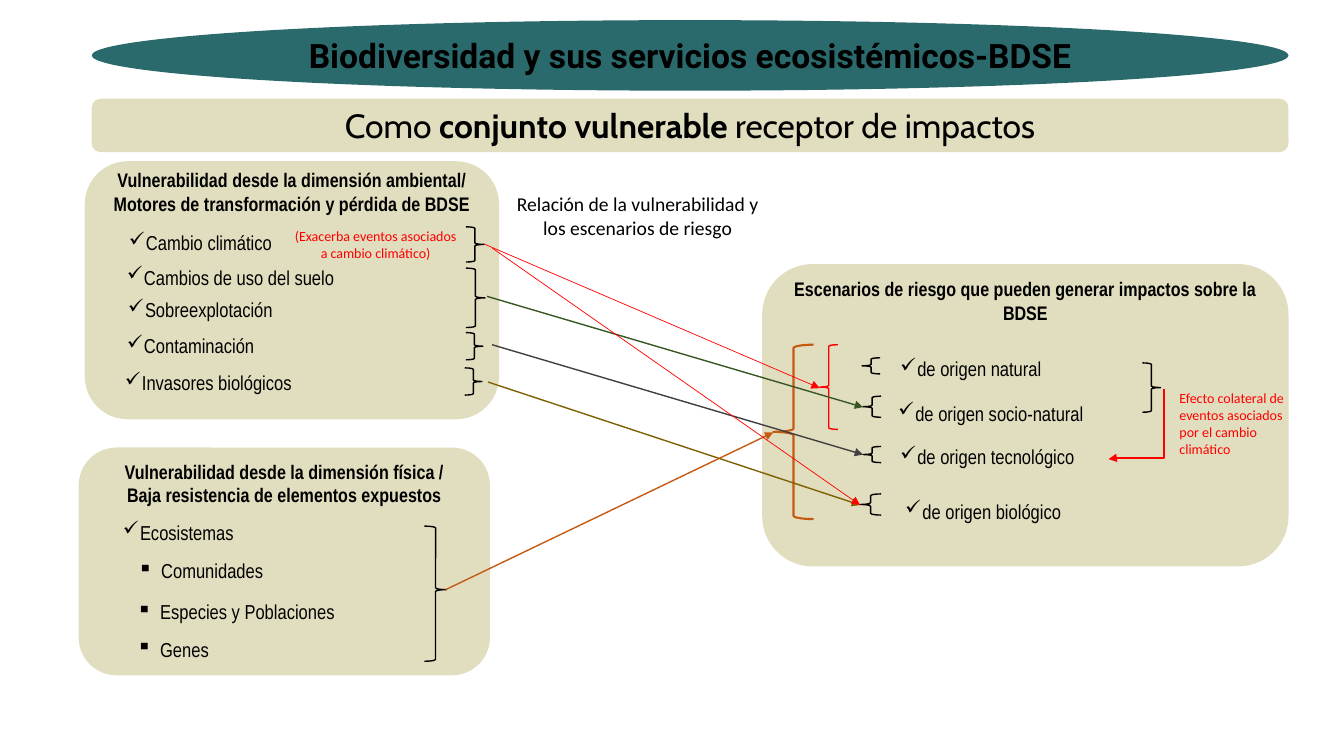
from lxml.etree import SubElement
from pptx import Presentation
from pptx.dml.color import RGBColor
from pptx.enum.shapes import MSO_CONNECTOR, MSO_SHAPE
from pptx.enum.text import MSO_ANCHOR, MSO_AUTO_SIZE, PP_ALIGN
from pptx.oxml.ns import qn
from pptx.util import Inches, Pt

BLACK = RGBColor(0x00, 0x00, 0x00)
RED = RGBColor(0xFF, 0x00, 0x00)
SAND = RGBColor(0xE1, 0xDD, 0xBF)
TEAL = RGBColor(0x2B, 0x6A, 0x6C)
ORANGE = RGBColor(0xC5, 0x5A, 0x11)
OLIVE = RGBColor(0x80, 0x60, 0x00)
GRAY = RGBColor(0x40, 0x40, 0x40)
GREEN = RGBColor(0x38, 0x57, 0x23)


def write_text(frame, lines, size=14, font="Arial Narrow", color=BLACK,
               bold=False, align=PP_ALIGN.LEFT, bullet=None, indent=0):
    """Each line is a string or a list of (text, bold) runs."""
    frame.word_wrap = True
    for number, line in enumerate(lines):
        paragraph = frame.paragraphs[0] if number == 0 else frame.add_paragraph()
        paragraph.alignment = align
        if bullet:
            properties = paragraph._p.get_or_add_pPr()
            properties.set("marL", str(Inches(indent)))
            properties.set("indent", str(-Inches(indent)))
            SubElement(properties, qn("a:buChar"), char=bullet)
        runs = [(line, bold)] if isinstance(line, str) else line
        for words, is_bold in runs:
            run = paragraph.add_run()
            run.text = words
            run.font.size = Pt(size)
            run.font.name = font
            run.font.bold = is_bold
            run.font.color.rgb = color


class RiskSlide:
    def __init__(self, slide):
        self.shapes = slide.shapes

    def panel(self, kind, left, top, width, height, fill=SAND):
        panel = self.shapes.add_shape(kind, Inches(left), Inches(top),
                                      Inches(width), Inches(height))
        panel.shadow.inherit = False
        panel.fill.solid()
        panel.fill.fore_color.rgb = fill
        panel.line.fill.background()
        return panel

    def banner(self, kind, top, height, line, fill=SAND, **style):
        banner = self.panel(kind, 0.91, top, 11.87, height, fill)
        banner.text_frame.vertical_anchor = MSO_ANCHOR.MIDDLE
        write_text(banner.text_frame, [line], size=24, align=PP_ALIGN.CENTER, **style)

    def text(self, left, top, width, height, *lines, **style):
        box = self.shapes.add_textbox(Inches(left), Inches(top),
                                      Inches(width), Inches(height))
        write_text(box.text_frame, lines, **style)
        box.text_frame.auto_size = MSO_AUTO_SIZE.SHAPE_TO_FIT_TEXT

    def item(self, left, top, width, line, bullet="✓", indent=0.17):
        self.text(left, top, width, 0.34, line, size=14.4, bullet=bullet, indent=indent)

    def brace(self, kind, left, top, width, height, color=BLACK, weight=1, adjust=()):
        brace = self.shapes.add_shape(kind, Inches(left), Inches(top),
                                      Inches(width), Inches(height))
        brace.shadow.inherit = False
        brace.fill.background()
        brace.line.color.rgb = color
        brace.line.width = Pt(weight)
        for index, value in enumerate(adjust):
            brace.adjustments[index] = value

    def arrow(self, start, end, color, weight=1, kind=MSO_CONNECTOR.STRAIGHT):
        arrow = self.shapes.add_connector(kind, *map(Inches, start + end))
        arrow.line.color.rgb = color
        arrow.line.width = Pt(weight)
        properties = arrow.element.spPr
        SubElement(properties.find(qn("a:ln")), qn("a:tailEnd"), type="triangle")
        SubElement(properties, qn("a:effectLst"))
        return properties

    def turned_arrow(self, start, end, color, bend):
        """Elbow arrow turned a quarter, so it runs down and then left."""
        properties = self.arrow(start, end, color, kind=MSO_CONNECTOR.ELBOW)
        properties.find(qn("a:xfrm")).set("rot", str(90 * 60000))
        guides = properties.find(qn("a:prstGeom")).find(qn("a:avLst"))
        SubElement(guides, qn("a:gd"), name="adj1", fmla=f"val {int(bend * 100000)}")


def main():
    deck = Presentation()
    deck.slide_width, deck.slide_height = Inches(13.33), Inches(7.5)
    risk = RiskSlide(deck.slides.add_slide(deck.slide_layouts[6]))
    rounded = MSO_SHAPE.ROUNDED_RECTANGLE
    opening, closing = MSO_SHAPE.LEFT_BRACE, MSO_SHAPE.RIGHT_BRACE
    heading = dict(bold=True, align=PP_ALIGN.CENTER)
    side_note = dict(size=10, font="Calibri", color=RED)

    # Environmental dimension
    risk.panel(rounded, 0.84, 1.6, 4.11, 2.56)
    risk.text(0.84, 1.62, 4.11, 0.57, "Vulnerabilidad desde la dimensión ambiental/",
              "Motores de transformación y pérdida de BDSE", **heading)
    for left, top, driver in [(1.18, 2.24, "Cambio climático"),
                              (1.16, 2.58, "Cambios de uso del suelo"),
                              (1.17, 2.9, "Sobreexplotación"),
                              (1.16, 3.26, "Contaminación"),
                              (1.14, 3.63, "Invasores biológicos")]:
        risk.item(left, top, 2.6, driver)
    risk.text(2.78, 2.21, 1.89, 0.44, "(Exacerba eventos asociados a cambio climático)",
              align=PP_ALIGN.CENTER, **side_note)

    # Physical dimension
    risk.panel(rounded, 0.78, 4.44, 4.08, 2.26)
    risk.text(0.78, 4.51, 4.08, 0.57, "Vulnerabilidad desde la dimensión física /",
              "Baja resistencia de elementos expuestos", **heading)
    risk.item(1.12, 5.11, 2.35, "Ecosistemas")
    for left, top, level in [(1.27, 5.49, "Comunidades"),
                             (1.26, 5.9, "Especies y Poblaciones"),
                             (1.26, 6.27, "Genes")]:
        risk.item(left, top, 2.72, level, bullet="▪", indent=0.23)

    # Risk scenarios
    risk.panel(rounded, 7.56, 2.62, 5.22, 3)
    risk.text(7.56, 2.7, 5.22, 0.59,
              "Escenarios de riesgo que pueden generar impactos sobre la BDSE", **heading)
    for left, top, origin in [(8.83, 3.49, "natural"), (8.81, 3.93, "socio-natural"),
                              (8.83, 4.36, "tecnológico"), (8.88, 4.9, "biológico")]:
        risk.item(left, top, 2.6, f"de origen {origin}")
    risk.text(11.6, 3.82, 1.24, 0.77,
              "Efecto colateral de eventos asociados por el cambio climático", **side_note)

    # Braces after the drivers and around the scenarios
    for place in [(4.62, 2.25, 0.18, 0.35), (4.62, 2.66, 0.19, 0.59),
                  (4.62, 3.3, 0.17, 0.27), (4.61, 3.65, 0.17, 0.27),
                  (11.33, 3.6, 0.18, 0.49)]:
        risk.brace(closing, *place)
    for place in [(8.55, 3.55, 0.18, 0.16), (8.56, 3.93, 0.18, 0.21),
                  (8.56, 4.43, 0.18, 0.16), (8.53, 4.9, 0.21, 0.21)]:
        risk.brace(opening, *place)
    risk.brace(closing, 4.21, 5.22, 0.22, 1.34, adjust=(0.08, 0.47))
    risk.brace(opening, 8.13, 3.42, 0.18, 0.84, RED)
    risk.brace(opening, 7.67, 3.42, 0.4, 1.73, ORANGE, 1.5)

    # Links from vulnerability to scenarios
    risk.text(5.02, 1.86, 2.61, 0.57,
              "Relación de la vulnerabilidad y los escenarios de riesgo",
              font="Calibri", align=PP_ALIGN.CENTER)
    for start, end, color, weight in [((4.8, 2.42), (8.13, 3.85), RED, 0.5),
                                      ((4.84, 3.79), (8.53, 5.01), OLIVE, 1),
                                      ((4.88, 3.42), (8.56, 4.51), GRAY, 1),
                                      ((4.83, 2.94), (8.56, 4.04), GREEN, 1),
                                      ((4.42, 5.85), (7.67, 4.29), ORANGE, 1),
                                      ((4.88, 2.46), (8.53, 5.01), RED, 0.5)]:
        risk.arrow(start, end, color, weight)
    risk.turned_arrow((10.92, 3.93), (11.62, 4.48), RED, bend=0.985)

    # Title banners
    risk.banner(rounded, 0.98, 0.53,
                [("Como ", False), ("conjunto vulnerable ", True),
                 ("receptor de impactos", False)], font="Cabin")
    risk.banner(MSO_SHAPE.OVAL, 0.2, 0.7,
                "Biodiversidad y sus servicios ecosistémicos-BDSE",
                fill=TEAL, font="Roboto", bold=True)

    deck.save("out.pptx")


if __name__ == "__main__":
    main()
